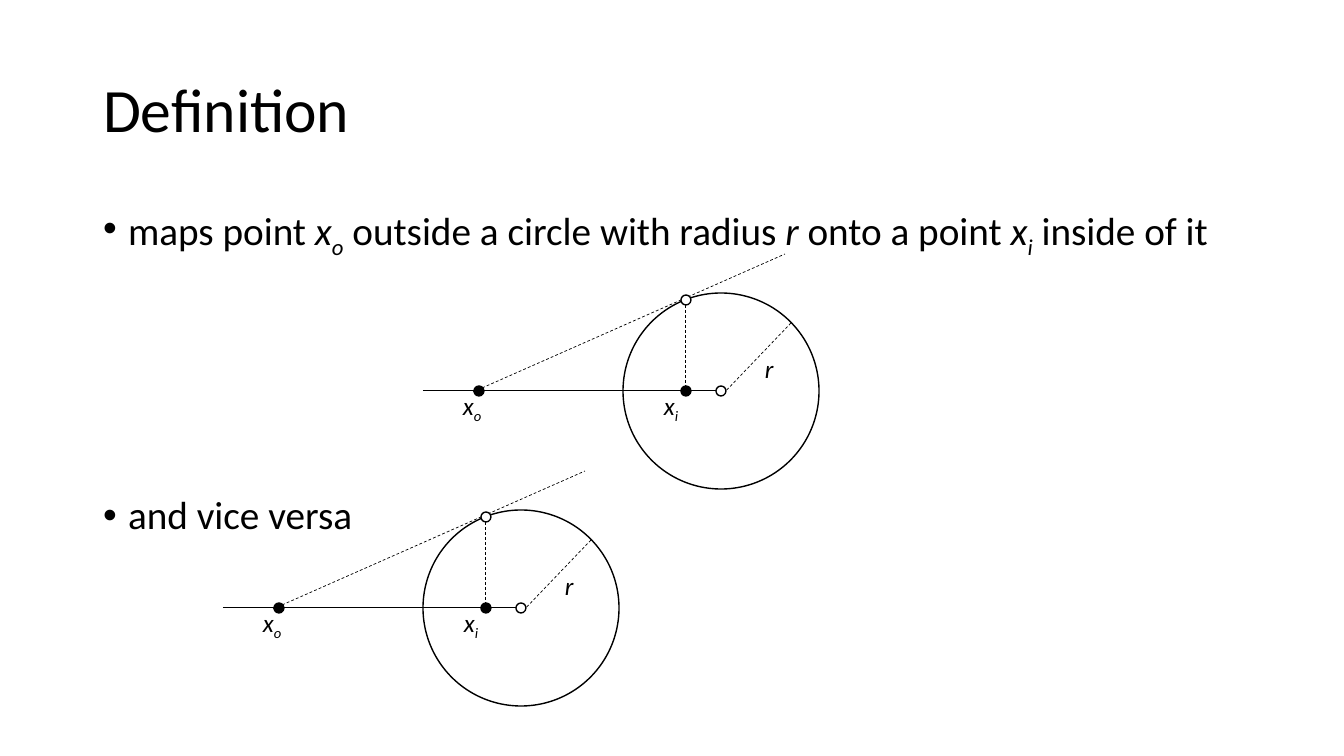
from dataclasses import dataclass

from lxml import etree
from pptx import Presentation
from pptx.dml.color import RGBColor
from pptx.enum import dml, shapes, text
from pptx.oxml import ns
from pptx.util import Emu, Pt

PIXEL = 914400 / 100.8


@dataclass(frozen=True)
class Theme:
    font: str = "Calibri"
    ink: RGBColor = RGBColor(0, 0, 0)
    paper: RGBColor = RGBColor(255, 255, 255)
    title_size: float = 44
    body_size: float = 28
    label_size: float = 18
    thin: float = 0.5
    outline: float = 1


@dataclass(frozen=True)
class Segment:
    start: tuple[int, int]
    end: tuple[int, int]
    dashed: bool = True


@dataclass(frozen=True)
class Dot:
    x: int
    y: int
    fill: RGBColor


@dataclass(frozen=True)
class Span:
    words: str
    italic: bool = False
    subscript: bool = False


@dataclass(frozen=True)
class Label:
    x: int
    y: int
    width: int
    spans: list[Span]


THEME = Theme()
RADIUS = 98
DOT_RADIUS = 5
LABEL_HEIGHT = 40
BULLET_INDENT = 25

OUTER = [Span("x", True), Span("o", True, True)]
INNER = [Span("x", True), Span("i", True, True)]
LENGTH = [Span("r", True)]

# Diagram parts, measured from the circle centre
SEGMENTS = [
    Segment((-298, -1), (-1, -1), dashed=False),
    Segment((70, -68), (0, 5)),
    Segment((-248, 1), (64, -137)),
    Segment((-36, -91), (-36, 0)),
]
DOTS = [
    Dot(0, 0, THEME.paper),
    Dot(-242, 0, THEME.ink),
    Dot(-35, 0, THEME.ink),
    Dot(-35, -91, THEME.paper),
]
LABELS = [
    Label(-268, -6, 39, OUTER),
    Label(-67, -6, 35, INNER),
    Label(34, -43, 29, LENGTH),
]
CENTRES = [(721, 391), (521, 608)]

# Bullets with the space before each, in points
BULLETS = [
    (10, [Span("maps point "), *OUTER, Span(" outside a circle with radius "),
          *LENGTH, Span(" onto a point "), *INNER, Span(" inside of it")]),
    (172, [Span("and vice versa")]),
]


def px(value: float) -> Emu:
    return Emu(round(value * PIXEL))


def apply(target, **values) -> None:
    for name, value in values.items():
        setattr(target, name, value)


def place(box, left: int, top: int, width: int, height: int) -> None:
    apply(box, left=px(left), top=px(top), width=px(width), height=px(height))


def write(para, spans: list[Span], size: float) -> None:
    for part in spans:
        span = para.add_run()
        span.text = part.words
        apply(span.font, name=THEME.font, size=Pt(size), italic=part.italic)
        span.font.color.rgb = THEME.ink
        if part.subscript:
            span._r.get_or_add_rPr().set("baseline", "-25000")


def draw_segment(page, segment: Segment, cx: int, cy: int) -> None:
    (x1, y1), (x2, y2) = segment.start, segment.end
    line = page.shapes.add_connector(
        shapes.MSO_CONNECTOR.STRAIGHT,
        px(cx + x1), px(cy + y1), px(cx + x2), px(cy + y2))
    line.line.color.rgb = THEME.ink
    line.line.width = Pt(THEME.thin)
    if segment.dashed:
        line.line.dash_style = dml.MSO_LINE.DASH
    etree.SubElement(line._element.spPr, ns.qn("a:effectLst"))


def draw_circle(page, cx: int, cy: int, radius: int,
                fill: RGBColor | None = None) -> None:
    circle = page.shapes.add_shape(
        shapes.MSO_SHAPE.OVAL, px(cx - radius), px(cy - radius),
        px(2 * radius), px(2 * radius))
    circle.shadow.inherit = False
    circle.line.color.rgb = THEME.ink
    circle.line.width = Pt(THEME.outline)
    if fill is None:
        circle.fill.background()
    else:
        circle.fill.solid()
        circle.fill.fore_color.rgb = fill


def draw_label(page, label: Label, cx: int, cy: int) -> None:
    box = page.shapes.add_textbox(px(cx + label.x), px(cy + label.y),
                                  px(label.width), px(LABEL_HEIGHT))
    apply(box.text_frame, word_wrap=False,
          auto_size=text.MSO_AUTO_SIZE.SHAPE_TO_FIT_TEXT)
    write(box.text_frame.paragraphs[0], label.spans, THEME.label_size)


def draw_diagram(page, cx: int, cy: int) -> None:
    for segment in SEGMENTS:
        draw_segment(page, segment, cx, cy)
    draw_circle(page, cx, cy, RADIUS)
    for dot in DOTS:
        draw_circle(page, cx + dot.x, cy + dot.y, DOT_RADIUS, dot.fill)
    for label in LABELS:
        draw_label(page, label, cx, cy)


deck = Presentation()
apply(deck, slide_width=px(1344), slide_height=px(756))
page = deck.slides.add_slide(deck.slide_layouts[1])
title, body = page.placeholders

# Title
place(title, 93, 40, 1159, 146)
apply(title.text_frame, word_wrap=True, auto_size=text.MSO_AUTO_SIZE.NONE,
      vertical_anchor=text.MSO_ANCHOR.MIDDLE)
heading = title.text_frame.paragraphs[0]
apply(heading, alignment=text.PP_ALIGN.LEFT, line_spacing=0.9)
write(heading, [Span("Definition")], THEME.title_size)

# Bulleted list
place(body, 93, 202, 1159, 480)
frame = body.text_frame
apply(frame, word_wrap=True, auto_size=text.MSO_AUTO_SIZE.NONE,
      vertical_anchor=text.MSO_ANCHOR.TOP)
for index, (gap, spans) in enumerate(BULLETS):
    para = frame.add_paragraph() if index else frame.paragraphs[0]
    apply(para, alignment=text.PP_ALIGN.LEFT, line_spacing=0.9,
          space_before=Pt(gap))
    properties = para._p.get_or_add_pPr()
    properties.set("marL", str(px(BULLET_INDENT)))
    properties.set("indent", str(px(-BULLET_INDENT)))
    write(para, spans, THEME.body_size)

# Inversion diagrams
for centre_x, centre_y in CENTRES:
    draw_diagram(page, centre_x, centre_y)

deck.save("out.pptx")
